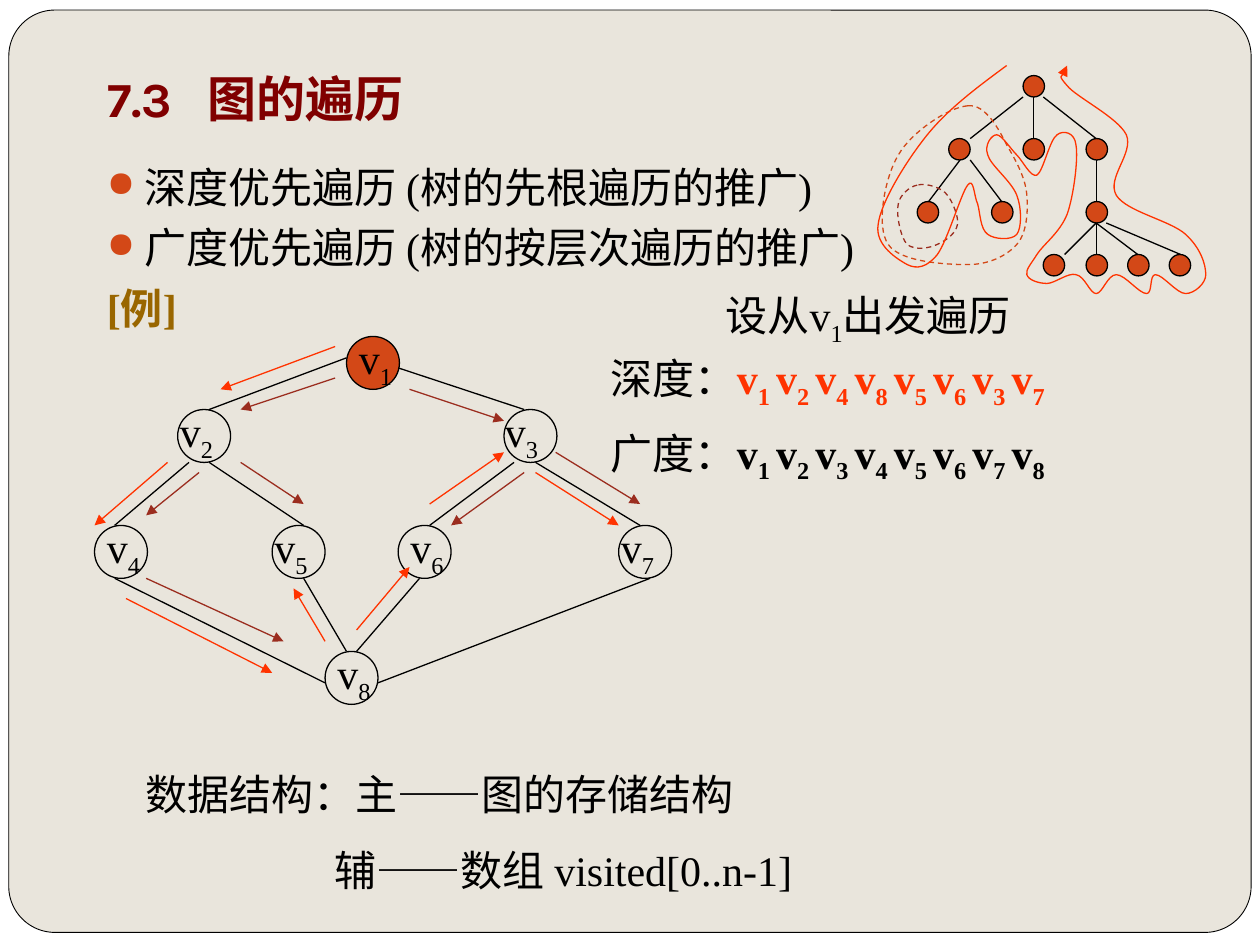
from dataclasses import dataclass

from lxml import etree
from pptx import Presentation
from pptx.dml.color import RGBColor
from pptx.enum.dml import MSO_LINE
from pptx.enum.shapes import MSO_CONNECTOR, MSO_SHAPE
from pptx.enum.text import MSO_ANCHOR, MSO_AUTO_SIZE, PP_ALIGN
from pptx.oxml.ns import qn
from pptx.util import Inches, Pt

STRAIGHT = MSO_CONNECTOR.STRAIGHT
OVAL = MSO_SHAPE.OVAL
ROUNDED = MSO_SHAPE.ROUNDED_RECTANGLE
DASH = MSO_LINE.DASH
MIDDLE = MSO_ANCHOR.MIDDLE
GROW = MSO_AUTO_SIZE.SHAPE_TO_FIT_TEXT
LEFT = PP_ALIGN.LEFT


@dataclass(frozen=True)
class Theme:
    paper: str = "FFFFFF"
    card: str = "E9E5DC"
    ink: str = "000000"
    title: str = "800000"
    example: str = "996600"
    accent: str = "D34817"
    depth: str = "FF3300"
    breadth: str = "9B2D1F"
    heading_font: str = "Karla"
    body_font: str = "Times New Roman"
    title_size: int = 28
    body_size: int = 24
    thin: float = 0.5
    stroke: float = 0.75


THEME = Theme()

VERTICES = [
    (1, 2.75, 2.67, 0, 0.58), (2, 1.41, 3.25, -0.08, 0.5),
    (3, 4, 3.25, -0.09, 0.67), (4, 0.75, 4.17, 0, 0.58),
    (5, 2.16, 4.17, -0.08, 0.58), (6, 3.16, 4.17, 0, 0.5),
    (7, 4.91, 4.17, -0.08, 0.58), (8, 2.58, 5.17, 0, 0.58),
]
EDGES = [
    (2.75, 2.84, 1.66, 3.25), (1.5, 3.67, 0.91, 4.17),
    (1.66, 3.67, 2.41, 4.17), (3.16, 2.92, 4.16, 3.25),
    (4.08, 3.67, 3.41, 4.17), (4.25, 3.67, 5.08, 4.17),
    (2.41, 4.59, 2.75, 5.17), (3.33, 4.59, 2.83, 5.17),
    (0.91, 4.59, 2.58, 5.42), (5.16, 4.59, 3, 5.42),
]
DEPTH_ARROWS = [
    (2.66, 2.75, 1.75, 3.09), (1.33, 3.67, 0.75, 4.17),
    (1, 4.75, 2.16, 5.34), (2.58, 5.09, 2.33, 4.67),
    (2.83, 5, 3.25, 4.5), (3.41, 4, 4, 3.59), (4.25, 3.75, 4.91, 4.17),
]
BREADTH_ARROWS = [
    (2.66, 3, 1.91, 3.25), (3.25, 3.09, 4, 3.34),
    (1.58, 3.75, 1.16, 4.09), (1.91, 3.67, 2.41, 4),
    (4.16, 3.75, 3.58, 4.17), (4.41, 3.59, 5.08, 4),
    (1.16, 4.59, 2.25, 5.09),
]
TREE_LEVELS = {
    0.6: [8.12], 1.1: [7.53, 8.12, 8.62], 1.6: [7.28, 7.87, 8.62],
    2.02: [8.28, 8.62, 8.95, 9.28],
}
TREE_EDGES = [
    (8.12, 0.77, 7.7, 1.1), (8.2, 0.77, 8.2, 1.1), (8.28, 0.77, 8.7, 1.1),
    (7.62, 1.27, 7.37, 1.6), (7.7, 1.27, 7.95, 1.6), (8.7, 1.27, 8.7, 1.6),
    (8.7, 1.77, 8.45, 2.02), (8.7, 1.77, 8.7, 2.02),
    (8.7, 1.77, 9.03, 2.02), (8.78, 1.77, 9.37, 2.02),
]
SUBTREE_LOOP = """768,84 753,85 723,105 713,123 702,141 695,180 705,194
    714,208 751,210 768,210 785,210 799,203 807,194 815,185 816,168 815,155
    814,141 806,127 799,115 793,103 782,82 768,84"""
LEAF_LOOP = """728,147 722,148 714,155 713,162 711,170 715,189 720,194
    726,199 738,197 744,194 751,191 759,185 760,178 761,172 756,160 752,155
    748,149 735,145 728,147"""
TREE_WALK = """799,52 776,69 753,86 736,107 719,128 699,161 697,178
    694,195 713,206 720,210 728,214 736,212 744,202 752,191 763,153 768,147
    773,140 773,156 776,162 778,169 778,182 784,186 789,190 803,191 807,186
    811,181 811,165 807,155 803,144 786,131 784,123 781,115 787,107 791,107
    795,107 802,118 807,123 812,128 818,141 823,139 828,136 833,111 839,107
    844,103 853,105 854,115 856,126 852,156 847,170 841,185 828,194 823,202
    818,210 814,214 815,218 816,222 824,225 831,225 837,225 848,216 854,218
    861,219 865,233 870,233 875,233 879,218 886,218 893,218 904,233 910,233
    915,233 912,218 917,218 923,218 934,233 941,233 948,233 957,225 957,218
    957,210 953,197 941,186 929,175 894,168 886,155 878,141 900,122 894,107
    887,93 854,77 847,68 839,59 847,55 847,52"""


def write(para, text, color=THEME.ink, size=THEME.body_size,
          font=THEME.body_font, bold=False, subscript=False):
    span = para.add_run()
    span.text = text
    span.font.name = font
    span.font.size = Pt(size)
    span.font.bold = bold
    span.font.color.rgb = RGBColor.from_string(color)
    if subscript:
        span._r.get_or_add_rPr().set("baseline", "-25000")


def write_vertices(para, order, **style):
    for position, number in enumerate(order, 1):
        gap = " " if position < len(order) else ""
        write(para, "v", **style)
        write(para, number + gap, subscript=True, **style)


def add_child(parent, tag, **attributes):
    return etree.SubElement(parent, qn(tag), attributes)


class SlideBuilder:
    def __init__(self, slide, theme):
        self.slide = slide
        self.theme = theme
        self.shapes = slide.shapes

    def outline(self, shape, color, width=None, dash=None, arrow=False):
        shape.line.color.rgb = RGBColor.from_string(color)
        shape.line.width = Pt(width or self.theme.stroke)
        if dash:
            shape.line.dash_style = dash
        if arrow:
            add_child(shape._element.spPr.find(qn("a:ln")), "a:tailEnd", type="triangle")

    def shape(self, kind, left, top, width, height, fill=None, line_width=None):
        shape = self.shapes.add_shape(
            kind, Inches(left), Inches(top), Inches(width), Inches(height))
        shape.shadow.inherit = False
        if fill:
            shape.fill.solid()
            shape.fill.fore_color.rgb = RGBColor.from_string(fill)
        else:
            shape.fill.background()
        self.outline(shape, self.theme.ink, line_width)
        return shape

    def card(self):
        self.slide.background.fill.solid()
        self.slide.background.fill.fore_color.rgb = RGBColor.from_string(self.theme.paper)
        card = self.shape(ROUNDED, 0.07, 0.08, 9.86, 7.32, self.theme.card, self.theme.thin)
        card.adjustments[0] = 0.05
        card._element.getparent().insert(2, card._element)

    def title(self, number, text):
        title = self.shapes.title
        title.left, title.top = Inches(0.75), Inches(0.36)
        title.width, title.height = Inches(8.5), Inches(0.83)
        title.text_frame.vertical_anchor = MIDDLE
        para = title.text_frame.paragraphs[0]
        para.alignment = LEFT
        tabs = add_child(para._p.get_or_add_pPr(), "a:tabLst")
        add_child(tabs, "a:tab", pos=str(Inches(0.8)), algn="l")
        write(para, f"{number}\t{text}", self.theme.title, self.theme.title_size,
              self.theme.heading_font, bold=True)

    def text_box(self, left, top, width, height=0.5, grow=True):
        box = self.shapes.add_textbox(
            Inches(left), Inches(top), Inches(width), Inches(height))
        box.text_frame.word_wrap = True
        if grow:
            box.text_frame.auto_size = GROW
        return box.text_frame

    def bullet(self, para):
        properties = para._p.get_or_add_pPr()
        properties.set("marL", str(Inches(0.3)))
        properties.set("indent", str(-Inches(0.3)))
        color = add_child(properties, "a:buClr")
        add_child(color, "a:srgbClr", val=self.theme.accent)
        add_child(properties, "a:buSzPct", val="85000")
        add_child(properties, "a:buChar", char="●")

    def lines(self, segments, color, arrow=False):
        for segment in segments:
            line = self.shapes.add_connector(STRAIGHT, *map(Inches, segment))
            self.outline(line, color, arrow=arrow)
            add_child(line._element.spPr, "a:effectLst")

    def curve(self, points, color, close=False, **line_style):
        start, *rest = [tuple(map(int, point.split(","))) for point in points.split()]
        builder = self.shapes.build_freeform(*start, scale=Inches(0.01))
        builder.add_line_segments(rest, close=close)
        shape = builder.convert_to_shape()
        segments = list(shape._element.iter(qn("a:lnTo")))
        for first in range(0, len(segments), 3):
            bezier = etree.Element(qn("a:cubicBezTo"))
            segments[first].addprevious(bezier)
            for segment in segments[first:first + 3]:
                bezier.append(segment[0])
                segment.getparent().remove(segment)
        shape.shadow.inherit = False
        shape.fill.background()
        self.outline(shape, color, **line_style)

    def tree(self):
        self.shapes = self.slide.shapes.add_group_shape().shapes
        for top, lefts in TREE_LEVELS.items():
            for left in lefts:
                self.shape(OVAL, left, top, 0.17, 0.17, self.theme.accent)
        self.lines(TREE_EDGES, self.theme.ink)
        self.shapes = self.slide.shapes


def main():
    deck = Presentation()
    deck.slide_width, deck.slide_height = Inches(10), Inches(7.5)
    page = SlideBuilder(deck.slides.add_slide(deck.slide_layouts[5]), THEME)
    page.card()
    page.title("7.3", "图的遍历")

    body = page.text_box(0.75, 1.23, 8.5, 5.44, grow=False)
    for row, text in enumerate(["深度优先遍历 (树的先根遍历的推广)",
                                "广度优先遍历 (树的按层次遍历的推广)"]):
        para = body.add_paragraph() if row else body.paragraphs[0]
        if row:
            para.space_before = Pt(5.8)
        page.bullet(para)
        write(para, text)
    para = body.add_paragraph()
    para.space_before = Pt(5.8)
    write(para, "[例]", THEME.example, bold=True)

    for number, left, top, shift, width in VERTICES:
        page.shape(OVAL, left, top, 0.42, 0.42, THEME.accent if number == 1 else None)
        label = page.text_box(left + shift, top - 0.08, width)
        write_vertices(label.paragraphs[0], str(number))
    page.lines(EDGES, THEME.ink)
    page.lines(DEPTH_ARROWS, THEME.depth, arrow=True)
    page.lines(BREADTH_ARROWS, THEME.breadth, arrow=True)

    start = page.text_box(5.66, 2.25, 2.75).paragraphs[0]
    write(start, "设从")
    write_vertices(start, "1")
    write(start, "出发遍历")
    for top, name, order, color in [(2.75, "深度：", "12485637", THEME.depth),
                                    (3.34, "广度：", "12345678", THEME.ink)]:
        para = page.text_box(4.75, top, 3.83).paragraphs[0]
        write(para, name)
        write_vertices(para, order, color=color, bold=True)

    page.tree()
    storage = page.text_box(1.06, 5.85, 7.64, 1.31)
    main_para, helper_para = storage.paragraphs[0], storage.add_paragraph()
    main_para.line_spacing = helper_para.line_spacing = 1.5
    helper_para._p.get_or_add_pPr().set("marL", str(Inches(1.5)))
    write(main_para, "数据结构：主——图的存储结构")
    write(helper_para, "辅——数组 visited[0..n-1]")

    page.curve(SUBTREE_LOOP, THEME.accent, close=True, dash=DASH)
    page.curve(LEAF_LOOP, THEME.breadth, close=True, dash=DASH)
    page.curve(TREE_WALK, THEME.depth, arrow=True)
    deck.save("out.pptx")


if __name__ == "__main__":
    main()
